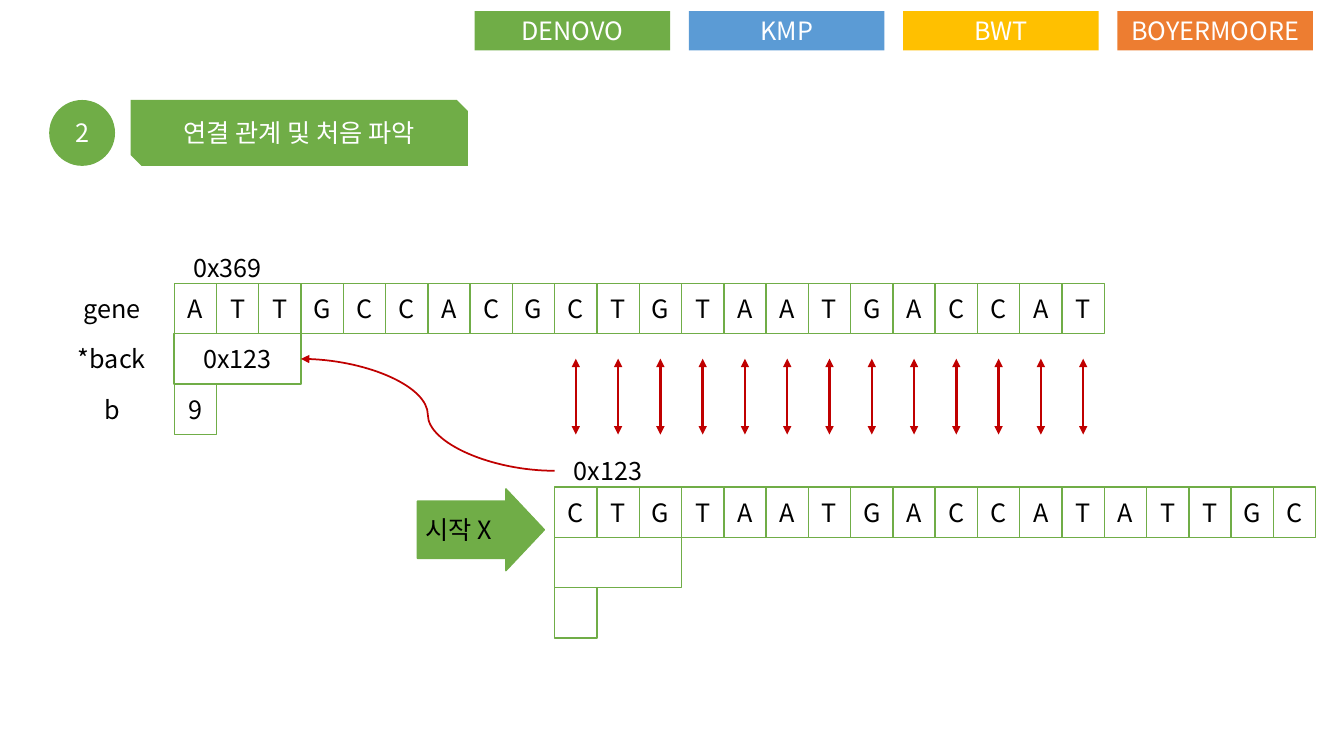
"""Build a slide showing how two gene reads are linked by their overlap."""
from dataclasses import dataclass
from typing import Optional

import lxml.etree
import pptx
import pptx.dml.color
import pptx.enum.shapes
import pptx.enum.text
import pptx.oxml.ns
import pptx.util

Cm = pptx.util.Cm
Pt = pptx.util.Pt
RGBColor = pptx.dml.color.RGBColor
MSO_SHAPE = pptx.enum.shapes.MSO_SHAPE
MSO_CONNECTOR = pptx.enum.shapes.MSO_CONNECTOR
PP_ALIGN = pptx.enum.text.PP_ALIGN
qn = pptx.oxml.ns.qn

GREEN = RGBColor(0x70, 0xAD, 0x47)
BLUE = RGBColor(0x5B, 0x9B, 0xD5)
YELLOW = RGBColor(0xFF, 0xC0, 0x00)
ORANGE = RGBColor(0xED, 0x7D, 0x31)
RED = RGBColor(0xC0, 0x00, 0x00)
WHITE = RGBColor(0xFF, 0xFF, 0xFF)
BLACK = RGBColor(0x00, 0x00, 0x00)

FONT = "Noto Sans CJK KR"
FONT_FORMAT = {"name": FONT, "size": Pt(18)}
FRAME_FORMAT = {
    "word_wrap": True,
    "vertical_anchor": pptx.enum.text.MSO_ANCHOR.MIDDLE,
    "margin_left": 0,
    "margin_right": 0,
    "margin_top": 0,
    "margin_bottom": 0,
}

CELL_W = 23.44 / 22
CELL_H = 1.27
BACK_CELLS = 3
OVERLAP_START = 9
GENE_LEFT = 4.39
GENE_TOP = 7.14
NEXT_LEFT = GENE_LEFT + OVERLAP_START * CELL_W
NEXT_TOP = 12.27
ADDRESS_H = 0.81


@dataclass
class Box:
    text: str
    left: float
    top: float
    width: float
    height: float
    fill: Optional[RGBColor] = None
    line: Optional[RGBColor] = None
    color: RGBColor = WHITE
    shape: MSO_SHAPE = MSO_SHAPE.RECTANGLE


@dataclass
class Read:
    bases: str
    address: str
    back: str
    b: str
    left: float
    top: float


@dataclass
class Link:
    kind: MSO_CONNECTOR
    x1: float
    y1: float
    x2: float
    y2: float
    width: float
    ends: tuple[str, ...]


READS = [
    Read("ATTGCCACGCTGTAATGACCAT", "0x369", "0x123", "9", GENE_LEFT, GENE_TOP),
    Read("CTGTAATGACCATATTGC", "0x123", "", "", NEXT_LEFT, NEXT_TOP),
]
TABS = [("DENOVO", GREEN), ("KMP", BLUE), ("BWT", YELLOW), ("BOYERMOORE", ORANGE)]
ROW_LABELS = ["gene", "*back", "b"]


def write_text(sp, text: str, color: RGBColor):
    tf = sp.text_frame
    for key, value in FRAME_FORMAT.items():
        setattr(tf, key, value)
    p = tf.paragraphs[0]
    p.alignment = PP_ALIGN.CENTER
    if text:
        r = p.add_run()
        r.text = text
        for key, value in FONT_FORMAT.items():
            setattr(r.font, key, value)
        r.font.color.rgb = color
        lxml.etree.SubElement(r.font._element, qn("a:ea"), typeface=FONT)


def draw_box(s, box: Box):
    at = [Cm(v) for v in (box.left, box.top, box.width, box.height)]
    sp = s.shapes.add_shape(box.shape, *at)
    sp.shadow.inherit = False
    sp.fill.solid()
    sp.fill.fore_color.rgb = box.fill
    if box.line is None:
        sp.line.fill.background()
    else:
        sp.line.color.rgb = box.line
        sp.line.width = Pt(1)
    write_text(sp, box.text, box.color)
    return sp


def draw_label(s, text: str, left: float, top: float, width: float, height: float) -> None:
    sp = s.shapes.add_textbox(Cm(left), Cm(top), Cm(width), Cm(height))
    write_text(sp, text, BLACK)


def draw_read(s, read: Read) -> None:
    cells = [(base, i, 0, 1) for i, base in enumerate(read.bases)]
    cells += [(read.back, 0, 1, BACK_CELLS), (read.b, 0, 2, 1)]
    for text, column, row, span in cells:
        draw_box(s, Box(text, read.left + column * CELL_W, read.top + row * CELL_H,
                        span * CELL_W, CELL_H, WHITE, GREEN, BLACK))
    draw_label(s, read.address, read.left, read.top - ADDRESS_H, 2.7, ADDRESS_H)


def draw_link(s, link: Link) -> None:
    ends = [Cm(v) for v in (link.x1, link.y1, link.x2, link.y2)]
    sp = s.shapes.add_connector(link.kind, *ends)
    sp.line.color.rgb = RED
    sp.line.width = Pt(link.width)
    ln = sp.line._get_or_add_ln()
    for end in link.ends:
        lxml.etree.SubElement(ln, qn(f"a:{end}"), type="triangle")
    lxml.etree.SubElement(sp._element.spPr, qn("a:effectLst"))


def main() -> None:
    prs = pptx.Presentation()
    prs.slide_width, prs.slide_height = Cm(33.87), Cm(19.05)
    s = prs.slides.add_slide(prs.slide_layouts[6])

    draw_box(s, Box("2", 1.24, 2.52, 1.66, 1.66, GREEN, shape=MSO_SHAPE.OVAL))
    draw_box(s, Box("연결 관계 및 처음 파악", 3.29, 2.52, 8.5, 1.66, GREEN,
                    shape=MSO_SHAPE.SNIP_2_DIAG_RECTANGLE))

    for read in READS:
        draw_read(s, read)
    for row, text in enumerate(ROW_LABELS):
        draw_label(s, text, 1.22, GENE_TOP + row * CELL_H, 3.2, CELL_H)

    for i in range(len(READS[0].bases) - OVERLAP_START):
        x = NEXT_LEFT + (i + 0.5) * CELL_W
        draw_link(s, Link(MSO_CONNECTOR.STRAIGHT, x, 9.04, x, 10.95, 1.75,
                          ("headEnd", "tailEnd")))
    draw_link(s, Link(MSO_CONNECTOR.CURVE, NEXT_LEFT, NEXT_TOP - ADDRESS_H / 2,
                      GENE_LEFT + BACK_CELLS * CELL_W, GENE_TOP + 1.5 * CELL_H,
                      1.25, ("tailEnd",)))

    sp = draw_box(s, Box("시작 X", 10.52, 12.32, 3.2, 2.06, GREEN, GREEN, BLACK,
                         MSO_SHAPE.RIGHT_ARROW))
    sp.adjustments[0], sp.adjustments[1] = 0.7, 0.47
    sp.text_frame.margin_right = Cm(0.64)
    sp.text_frame.paragraphs[0].alignment = PP_ALIGN.RIGHT

    for i, (text, fill) in enumerate(TABS):
        draw_box(s, Box(text, 11.96 + i * 5.4, 0.28, 4.93, 0.99, fill))

    prs.save("out.pptx")


if __name__ == "__main__":
    main()
